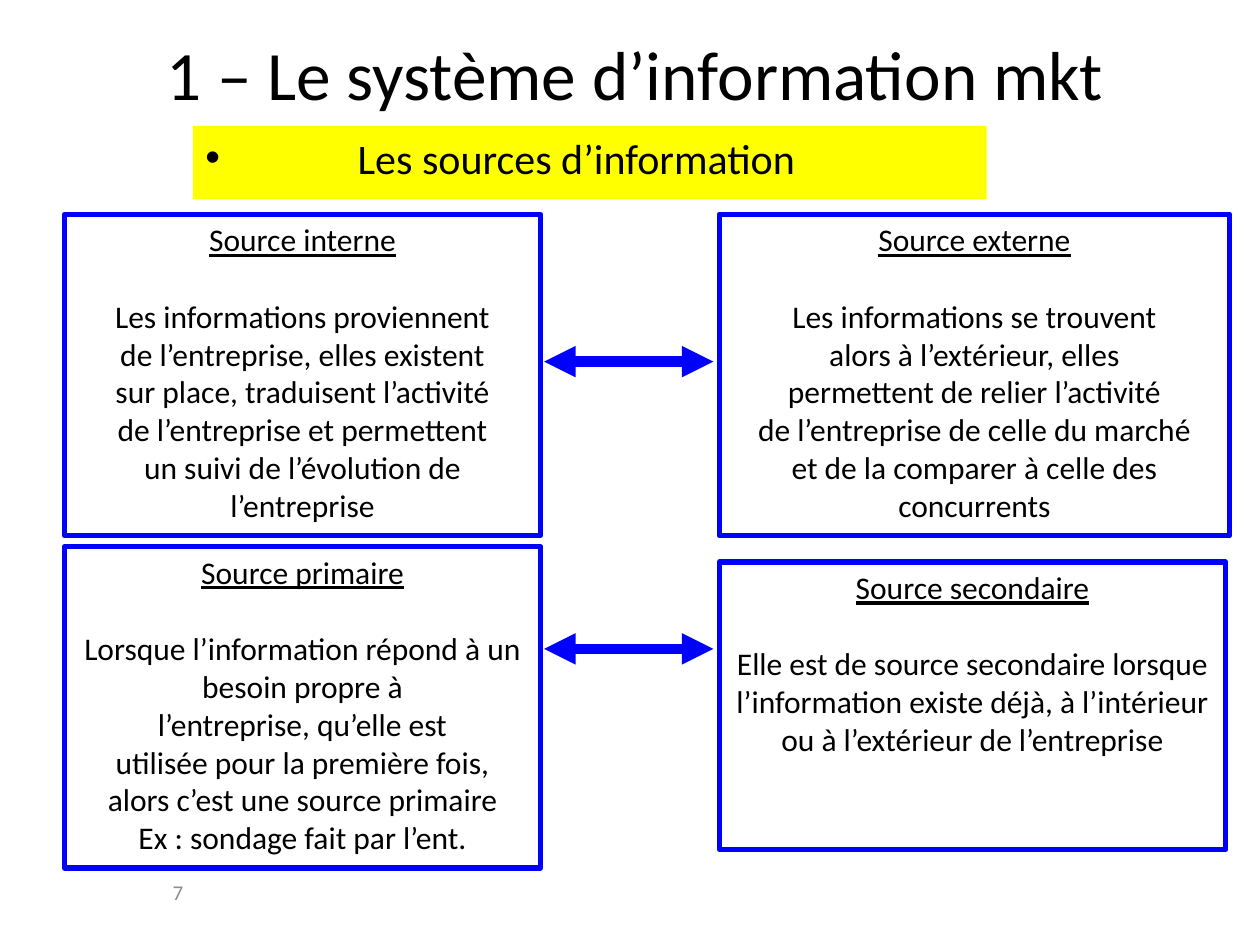
"""Build the slide on the sources of marketing information."""
from lxml.etree import SubElement
from pptx import Presentation
from pptx.dml.color import RGBColor
from pptx.enum.shapes import MSO_CONNECTOR, MSO_SHAPE
from pptx.enum.text import MSO_ANCHOR, MSO_AUTO_SIZE, PP_ALIGN
from pptx.oxml.ns import qn
from pptx.util import Cm, Pt

COLORS = {
    "text": "000000",
    "number": "8C8C8C",
    "banner": "FFFF00",
    "paper": "FFFFFF",
    "blue": "0000FF",
}
SOURCES = [
    (1.3, 4.32, 9.6, 6.48, None, "Source interne", [
        "Les informations proviennent",
        "de l’entreprise, elles existent",
        "sur place, traduisent l’activité",
        "de l’entreprise et permettent",
        "un suivi de l’évolution de",
        "l’entreprise",
    ]),
    (14.5, 4.32, 10.29, 6.48, None, "Source externe", [
        "Les informations se trouvent",
        "alors à l’extérieur, elles",
        "permettent de relier l’activité",
        "de l’entreprise de celle du marché",
        "et de la comparer à celle des",
        "concurrents",
    ]),
    (1.3, 11.02, 9.6, 6.48, "paper", "Source primaire", [
        "Lorsque l’information répond à un besoin propre à",
        "l’entreprise, qu’elle est",
        "utilisée pour la première fois,",
        "alors c’est une source primaire",
        "Ex : sondage fait par l’ent.",
    ]),
    (14.5, 11.33, 10.21, 5.79, "paper", "Source secondaire", [
        "Elle est de source secondaire lorsque",
        "l’information existe déjà, à l’intérieur",
        "ou à l’extérieur de l’entreprise",
    ]),
]


def color(name):
    return RGBColor.from_string(COLORS[name])


def style(paragraph, size, align=PP_ALIGN.CENTER, ink="text"):
    paragraph.alignment = align
    for run in paragraph.runs:
        run.font.name = "Calibri"
        run.font.size = Pt(size)
        run.font.color.rgb = color(ink)


prs = Presentation()
prs.slide_width, prs.slide_height = Cm(25.4), Cm(19.05)
slide = prs.slides.add_slide(prs.slide_layouts[5])
shapes = slide.shapes

number = shapes.add_textbox(Cm(3.23), Cm(17.35), Cm(5.28), Cm(1.27)).text_frame
number.word_wrap = True
number.vertical_anchor = MSO_ANCHOR.MIDDLE
number.text = "7"
style(number.paragraphs[0], 12, PP_ALIGN.LEFT, "number")

title = shapes.title
title.left, title.top, title.width, title.height = Cm(0.64), Cm(0.43), Cm(24.33), Cm(2.06)
title.text_frame.text = "1 – Le système d’information mkt"
title.text_frame.auto_size = MSO_AUTO_SIZE.NONE
title.text_frame.vertical_anchor = MSO_ANCHOR.MIDDLE
style(title.text_frame.paragraphs[0], 39.6)

banner = shapes.add_shape(MSO_SHAPE.RECTANGLE, Cm(3.89), Cm(2.54), Cm(16), Cm(1.47))
banner.shadow.inherit = False
banner.fill.solid()
banner.fill.fore_color.rgb = color("banner")
banner.line.fill.background()
banner.text_frame.word_wrap = True
banner.text_frame.vertical_anchor = MSO_ANCHOR.TOP
heading = banner.text_frame.paragraphs[0]
heading.text = "Les sources d’information"
properties = heading._p.get_or_add_pPr()
properties.set("marL", str(Cm(3.07)))
properties.set("indent", str(-Cm(3.07)))
SubElement(properties, qn("a:buFont"), typeface="Arial")
SubElement(properties, qn("a:buChar"), char="•")
style(heading, 24, PP_ALIGN.LEFT)

for left, top, width, height, fill, source, lines in SOURCES:
    box = shapes.add_shape(MSO_SHAPE.RECTANGLE, Cm(left), Cm(top), Cm(width), Cm(height))
    box.shadow.inherit = False
    if fill:
        box.fill.solid()
        box.fill.fore_color.rgb = color(fill)
    else:
        box.fill.background()
    box.line.color.rgb = color("blue")
    box.line.width = Pt(3)
    frame = box.text_frame
    frame.word_wrap = True
    frame.vertical_anchor = MSO_ANCHOR.TOP
    frame.text = "\n".join([source, *lines])
    for paragraph in frame.paragraphs:
        style(paragraph, 18)
    frame.paragraphs[0].runs[0].font.underline = True
    frame.paragraphs[1].space_before = Pt(22)

for level in (7.29, 13.08):
    arrow = shapes.add_connector(MSO_CONNECTOR.STRAIGHT, Cm(10.97), Cm(level), Cm(14.38), Cm(level))
    arrow.line.color.rgb = color("blue")
    arrow.line.width = Pt(6)
    for end in ("a:headEnd", "a:tailEnd"):
        SubElement(arrow.line._get_or_add_ln(), qn(end), type="triangle")
    SubElement(arrow._element.spPr, qn("a:effectLst"))

prs.save("out.pptx")
